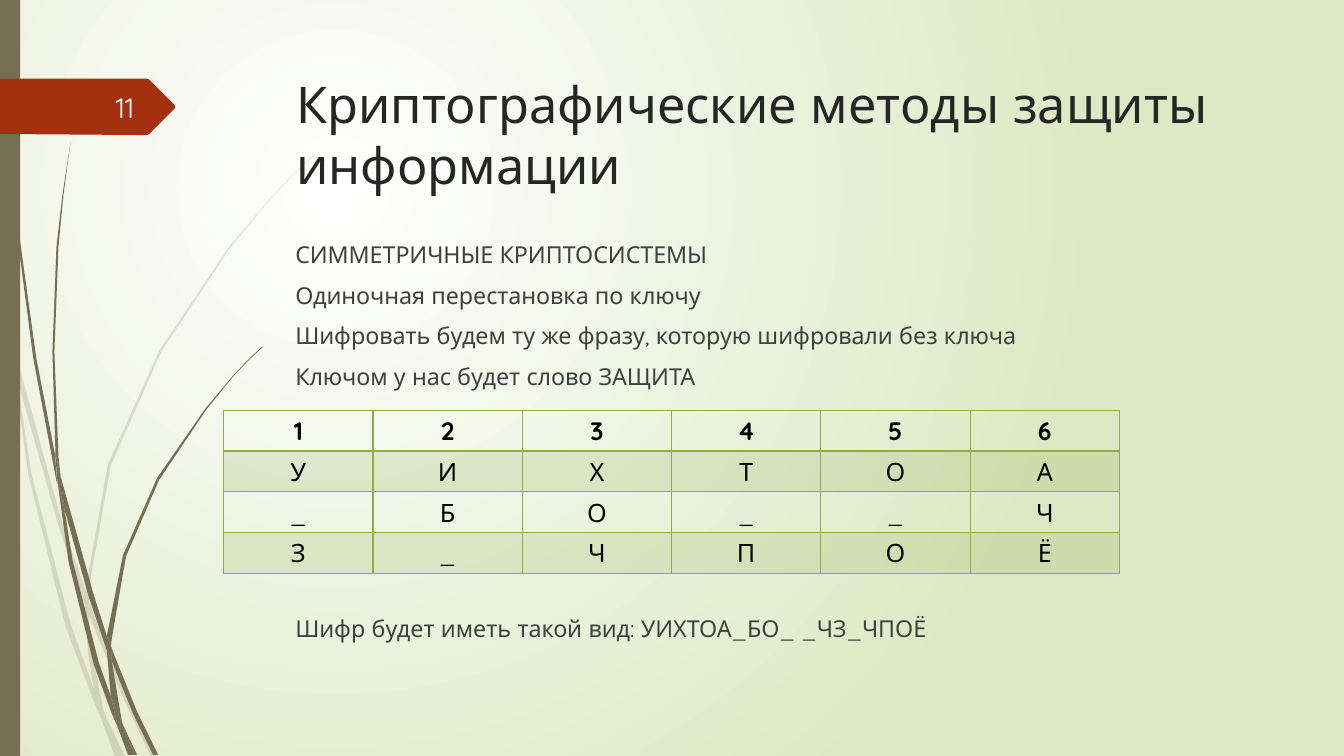
"""Build the slide on single key transposition ciphers."""
from lxml import etree
from pptx import Presentation
from pptx import util as u
from pptx.dml.color import RGBColor
from pptx.enum import shapes, text
from pptx.oxml.ns import qn

FONT = "Quicksand"
OLIVE, GREEN, RED = "766F54", "92AA4C", "A53010"
UNIT = u.Pt(0.72)


def paint(fill, color, alpha=None):
    fill.solid()
    fill.fore_color.rgb = RGBColor.from_string(color)
    if alpha:
        solid = fill._xPr.find(qn("a:solidFill"))
        etree.SubElement(solid[0], qn("a:alpha"), val=str(alpha * 1000))


def add_text(left, top, width, height, lines, size, color):
    box = page.shapes.add_textbox(u.Pt(left), u.Pt(top), u.Pt(width), u.Pt(height))
    frame = box.text_frame
    frame.word_wrap = True
    frame.text = "\n".join(lines)
    for para in frame.paragraphs:
        para.font.name, para.font.size = FONT, u.Pt(size)
        para.font.color.rgb = RGBColor.from_string(color)
    return frame


deck = Presentation()
deck.slide_width, deck.slide_height = u.Pt(960), u.Pt(540)
page = deck.slides.add_slide(deck.slide_layouts[6])

backdrop = page.background.fill
backdrop.gradient()
for stop, color in zip(backdrop.gradient_stops, ("FFFFFF", "DFE8C4")):
    stop.color.rgb = RGBColor.from_string(color)
gradient = page._element.find(".//" + qn("a:gradFill"))
gradient.remove(gradient.find(qn("a:lin")))
circle = etree.SubElement(gradient, qn("a:path"), path="circle")
etree.SubElement(circle, qn("a:fillToRect"), l="50000", t="50000", r="100000", b="100000")

pale_wisps = [
    "11,350 9,322 0,282 0,299 10,344",
    "58,522 84,599 85,586 62,520 14,345 17,376",
    "92,607 88,596 88,610 123,694 150,751 155,751 127,692",
    "119,751 124,751 105,711",
    "93,683 70,619 31,469 17,376 11,350 28,470 65,621 92,693 101,714 99,707",
    "84,599 87,646 93,683 96,692 105,711 103,706 91,646 88,610 88,608",
    "88,584 110,462 160,349 229,245 268,198 290,175 312,154 312,153 289,175 268,197 228,244 "
    "158,348 107,461 85,584 85,586 88,596",
    "101,714 114,751 119,751",
    "88,608 88,610 88,596 85,586 84,599",
    "96,692 93,683 99,707 101,714 119,751 105,711",
]
dark_wisps = [
    "7,110 17,233 33,355 56,477 57,481 55,457 55,453 36,355 19,232 8,109 5,48 4,0 3,0 4,48",
    "88,592 106,645 106,633 106,631 93,590 60,472 64,505",
    "113,649 110,641 111,656 132,708 152,749 157,749 136,706",
    "110,691 98,657 72,556 64,505 57,477 68,557 93,659 111,708 117,722 116,717",
    "60,472 58,453 54,349 58,245 63,193 70,141 62,193 56,245 52,349 55,449",
    "133,749 136,749 122,719",
    "57,477 64,505 60,472 55,449 55,453",
    "111,633 125,552 158,476 205,406 231,374 245,359 261,344 260,344 245,358 231,373 204,405 "
    "156,474 122,551 106,631 110,641",
    "117,722 127,749 131,749",
    "106,645 110,691 116,706 122,719 121,716 111,656 109,651",
    "106,645 109,651 111,656 110,641 106,631 106,633",
    "116,706 110,691 116,717 117,722 130,749 133,749 122,719",
]
tag_outline = "0,78 146,78 148,79 173,104 174,106 173,108 148,133 146,134 136,134 0,133"
outlines = [(wisp, OLIVE, 20) for wisp in pale_wisps]
outlines += [(wisp, OLIVE, None) for wisp in dark_wisps]
outlines.append((tag_outline, RED, None))

for outline, color, alpha in outlines:
    points = [tuple(map(int, point.split(","))) for point in outline.split()]
    builder = page.shapes.build_freeform(*points[0], scale=UNIT)
    builder.add_line_segments(points[1:])
    shape = builder.convert_to_shape()
    shape.shadow.inherit = False
    paint(shape.fill, color, alpha)
    shape.line.fill.background()

side_bar = page.shapes.add_shape(shapes.MSO_SHAPE.RECTANGLE, 0, 0, u.Pt(14.4), u.Pt(540))
side_bar.shadow.inherit = False
paint(side_bar.fill, OLIVE)
side_bar.line.fill.background()
tag = page.shapes[len(outlines) - 1]
side_bar._element.addnext(tag._element)

add_text(204.5, 49, 702, 100.8, ["Криптографические методы защиты информации"], 36, "262626")

body = add_text(203.8, 167.8, 702, 297.4, [
    "СИММЕТРИЧНЫЕ КРИПТОСИСТЕМЫ",
    "Одиночная перестановка по ключу",
    "Шифровать будем ту же фразу, которую шифровали без ключа",
    "Ключом у нас будет слово ЗАЩИТА",
    "Шифр будет иметь такой вид: УИХТОА_БО_ _ЧЗ_ЧПОЁ",
], 16.6, "404040")
for para in body.paragraphs:
    para.space_before = u.Pt(9.3)
body.paragraphs[-1].space_before = u.Pt(160)

rows = ["123456", "УИХТОА", "_БО__Ч", "З_ЧПОЁ"]
table = page.shapes.add_table(4, 6, u.Pt(159.8), u.Pt(293), u.Pt(640), u.Pt(116.6)).table
table.first_row = table.horz_banding = False
for row_index, letters in enumerate(rows):
    for column_index, letter in enumerate(letters):
        cell = table.cell(row_index, column_index)
        properties = cell._tc.get_or_add_tcPr()
        for side in "LRTB":
            thick = (side, row_index) in (("B", 0), ("T", 1))
            border = etree.SubElement(properties, qn("a:ln" + side),
                                      w=str(u.Pt(2 if thick else 1)))
            solid = etree.SubElement(border, qn("a:solidFill"))
            etree.SubElement(solid, qn("a:srgbClr"), val=GREEN)
        if row_index % 2:
            paint(cell.fill, GREEN, 20)
        else:
            cell.fill.background()
        cell.text = letter
        para = cell.text_frame.paragraphs[0]
        para.alignment = text.PP_ALIGN.CENTER
        para.font.name, para.font.size, para.font.bold = FONT, u.Pt(18), row_index == 0
        para.font.color.rgb = RGBColor.from_string("000000")

number = add_text(41.8, 61.9, 61.2, 28.8, ["11"], 20, "FEFFFF")
number.vertical_anchor = text.MSO_ANCHOR.MIDDLE
number.paragraphs[0].alignment = text.PP_ALIGN.RIGHT

deck.save("out.pptx")
